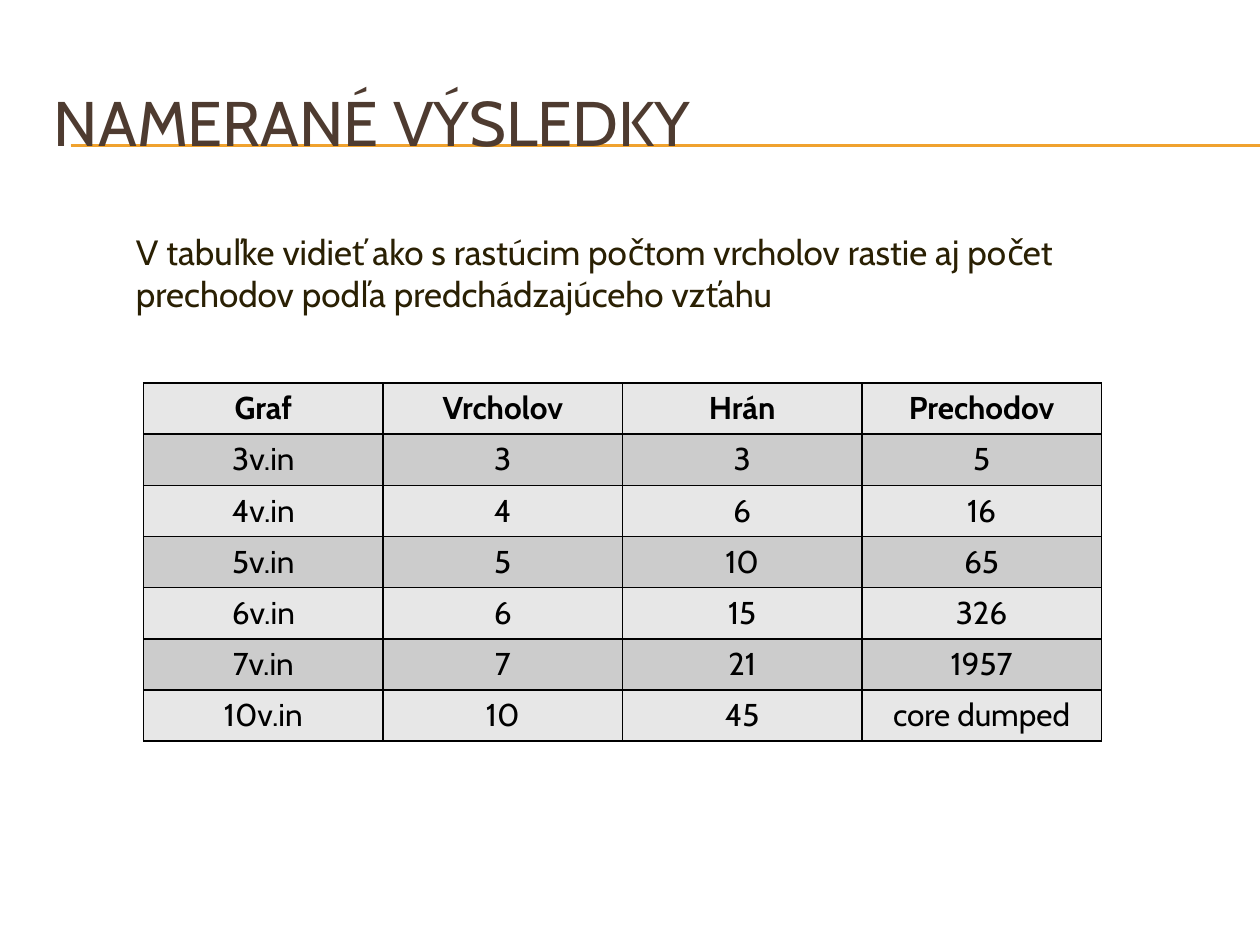
from pptx import Presentation
from pptx.dml.color import RGBColor
from pptx.enum.shapes import MSO_CONNECTOR as Connector
from pptx.enum.text import MSO_ANCHOR as Anchor, PP_ALIGN as Align
from pptx.oxml import parse_xml
from pptx.oxml.ns import nsdecls
from pptx.util import Inches, Pt

# Content
TITLE = "NAMERANÉ VÝSLEDKY"
INTRO = ("V tabuľke vidieť ako s rastúcim počtom vrcholov rastie aj počet "
         "prechodov podľa predchádzajúceho vzťahu")
RESULTS = [
    ("Graf", "Vrcholov", "Hrán", "Prechodov"),
    ("3v.in", "3", "3", "5"),
    ("4v.in", "4", "6", "16"),
    ("5v.in", "5", "10", "65"),
    ("6v.in", "6", "15", "326"),
    ("7v.in", "7", "21", "1957"),
    ("10v.in", "10", "45", "core dumped"),
]
BANDS = ("E7E7E7", "CCCCCC")
COLUMN_WIDTH, ROW_HEIGHT = 1.9, 0.406


def color(value):
    return RGBColor.from_string(value)


def write(frame, text, size=18, fill="000000", bold=False, align=Align.LEFT, anchor=Anchor.TOP):
    frame.word_wrap = True
    frame.vertical_anchor = anchor
    paragraph = frame.paragraphs[0]
    paragraph.alignment = align
    run = paragraph.add_run()
    run.text = text
    font = run.font
    font.name, font.size, font.bold = "Cabin", Pt(size), bold
    font.color.rgb = color(fill)


def add_text(left, top, width, height, text, **style):
    box = slide.shapes.add_textbox(*map(Inches, (left, top, width, height)))
    write(box.text_frame, text, **style)


def add_borders(cell, line_color="000000", width=1):
    properties = cell._tc.get_or_add_tcPr()
    for index, side in enumerate(("lnL", "lnR", "lnT", "lnB")):
        properties.insert(index, parse_xml(
            f'<a:{side} {nsdecls("a")} w="{Pt(width)}"><a:solidFill>'
            f'<a:srgbClr val="{line_color}"/></a:solidFill></a:{side}>'))


presentation = Presentation()
presentation.slide_width, presentation.slide_height = Inches(10), Inches(7.5)
slide = presentation.slides.add_slide(presentation.slide_layouts[6])

# Double rule behind the title
for y in (1.15, 1.16):
    rule = slide.shapes.add_connector(
        Connector.STRAIGHT, Inches(0.56), Inches(y), Inches(10), Inches(y))
    rule.line.color.rgb = color("F0A22E")
    rule.line.width = Pt(0.75)
    rule._element.spPr.append(parse_xml(f'<a:effectLst {nsdecls("a")}/>'))

# Title
add_text(0.33, 0.5, 9.5, 0.92, TITLE, size=36, fill="4E3B30", anchor=Anchor.MIDDLE)

# Results table
row_count, column_count = len(RESULTS), len(RESULTS[0])
table = slide.shapes.add_table(
    row_count, column_count, Inches(1.14), Inches(3.04),
    Inches(COLUMN_WIDTH * column_count), Inches(ROW_HEIGHT * row_count)).table
for column in table.columns:
    column.width = Inches(COLUMN_WIDTH)
for row_index, values in enumerate(RESULTS):
    table.rows[row_index].height = Inches(ROW_HEIGHT)
    for column_index, value in enumerate(values):
        cell = table.cell(row_index, column_index)
        cell.fill.solid()
        cell.fill.fore_color.rgb = color(BANDS[row_index % 2])
        add_borders(cell)
        write(cell.text_frame, value, bold=row_index == 0, align=Align.CENTER)

# Introduction
add_text(0.98, 1.78, 7.95, 0.77, INTRO, size=20, fill="2A2003")

presentation.save("out.pptx")
